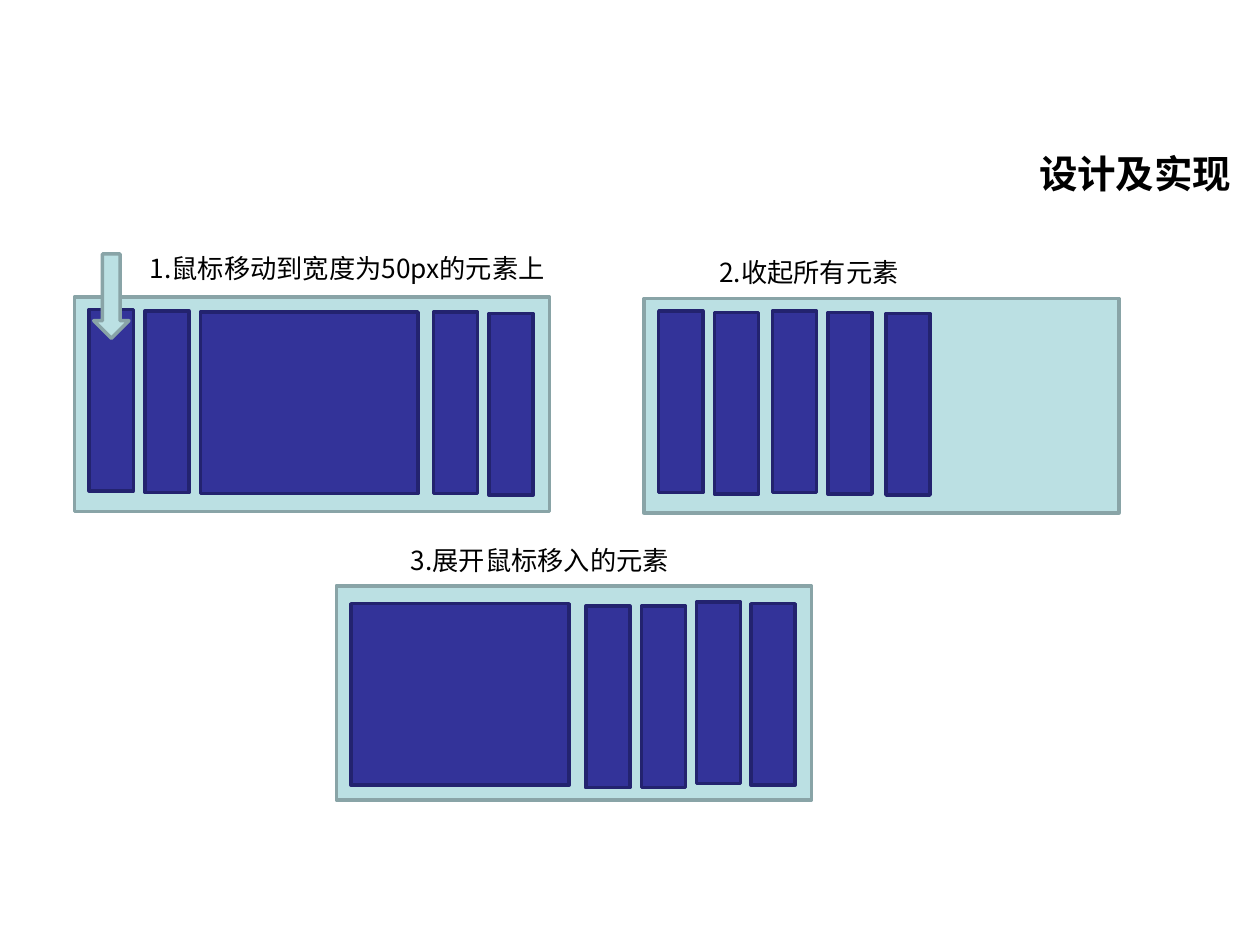
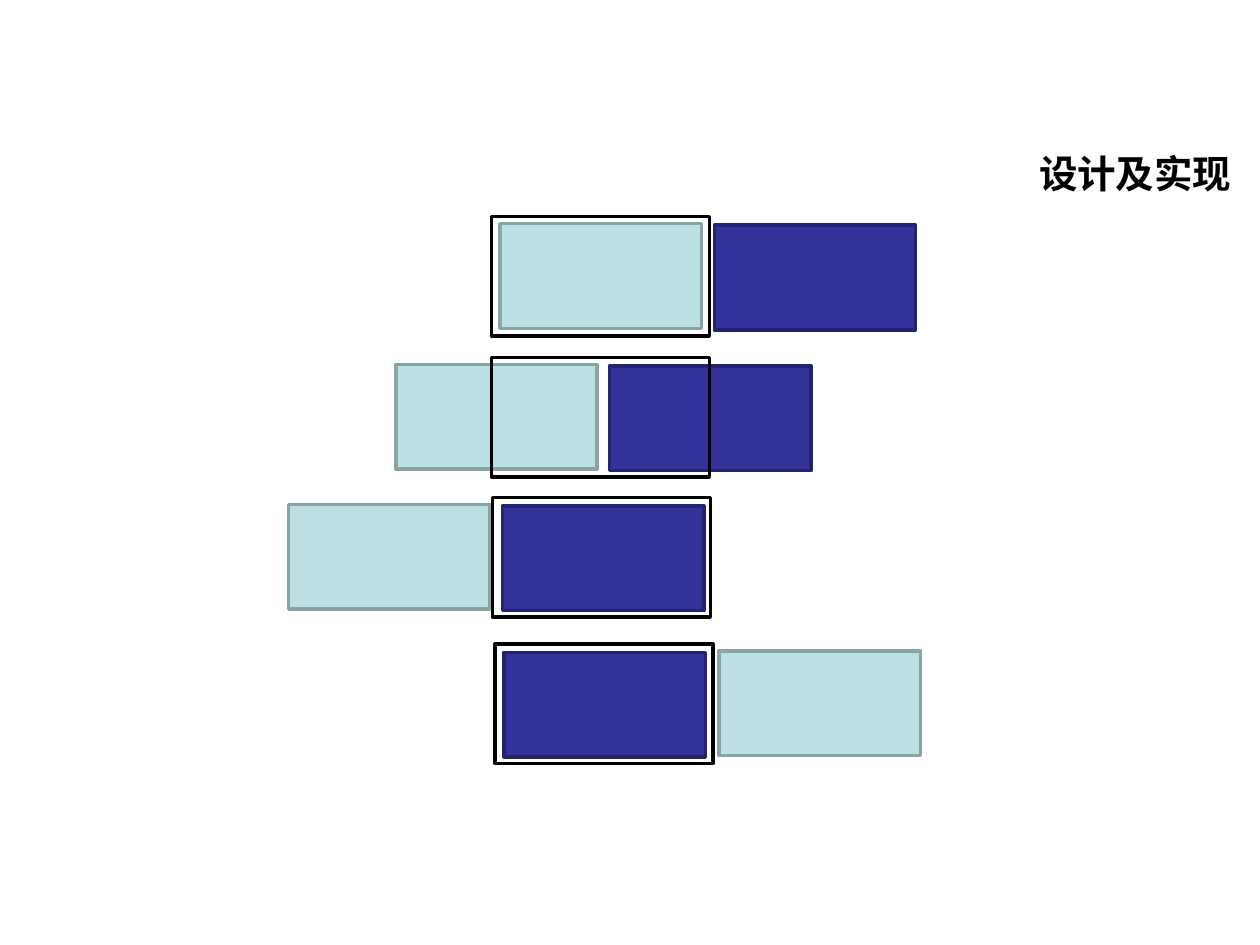
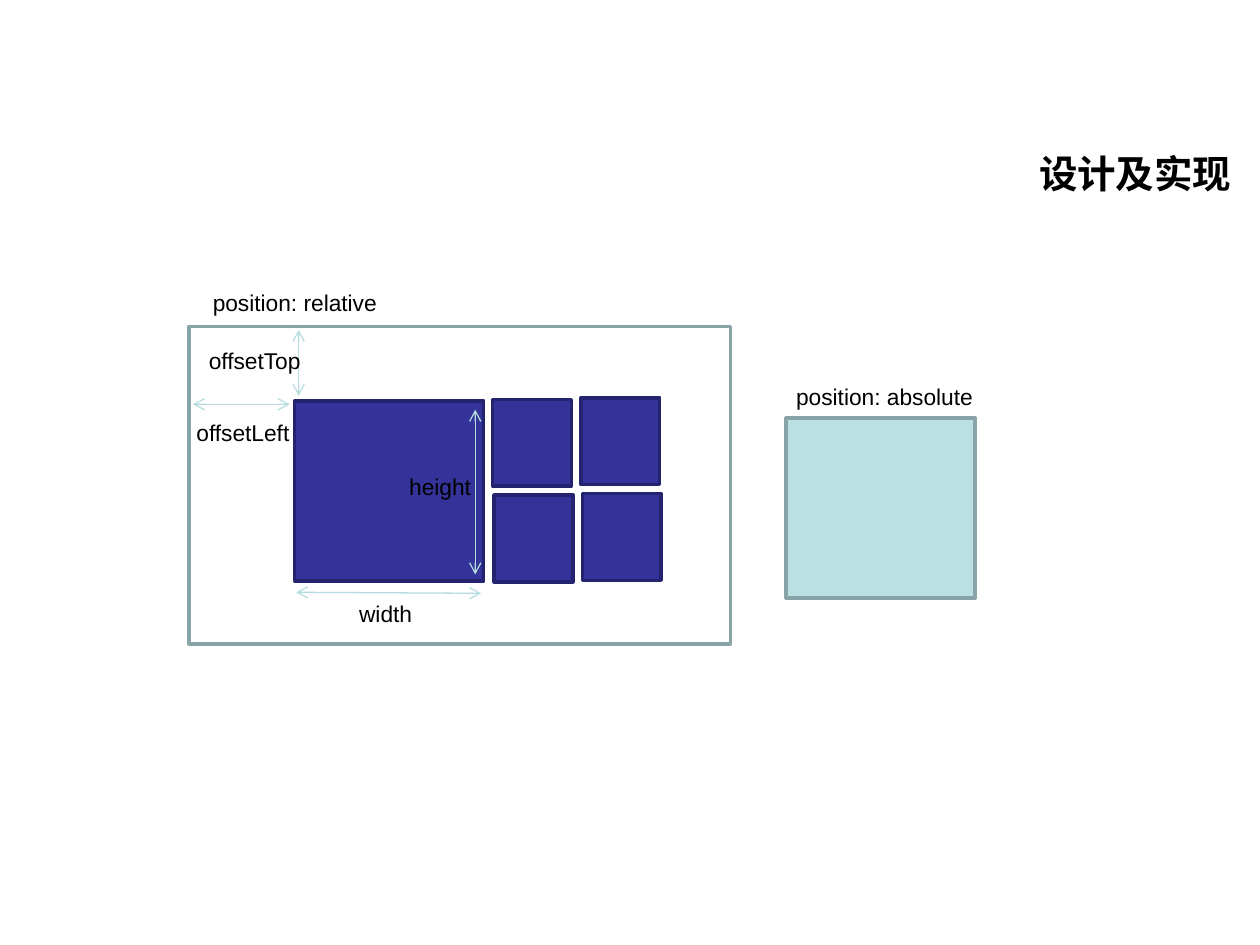
from lxml.etree import SubElement
from pptx import Presentation
from pptx.dml.color import RGBColor
from pptx.enum.shapes import MSO_CONNECTOR, MSO_SHAPE
from pptx.enum.text import MSO_ANCHOR, PP_ALIGN
from pptx.oxml.ns import qn
from pptx.util import Cm, Pt

LATIN = "Arial"
HAN = "Noto Sans CJK SC"
BLACK = "000000"
EDGE = "89A4A7"
LIGHT = ("BBE0E3", EDGE)
DARK = ("333399", "23236F")
FRAME = (None, BLACK)
BOX = (None, EDGE)
ARROW = "B6DCDF"


def paint(target, color):
    target.rgb = RGBColor.from_string(color)


def write(shape, text, size=13, font=LATIN, bold=False, align=PP_ALIGN.LEFT):
    frame = shape.text_frame
    frame.word_wrap = True
    frame.vertical_anchor = MSO_ANCHOR.MIDDLE
    frame.margin_left = frame.margin_right = Cm(0.25)
    frame.margin_top = frame.margin_bottom = Cm(0.13)
    line = frame.paragraphs[0]
    line.alignment = align
    run = line.add_run()
    run.text = text
    run.font.size = Pt(size)
    run.font.bold = bold
    run.font.name = font
    paint(run.font.color, BLACK)
    SubElement(run.font._element, qn("a:ea"), typeface=HAN)


def label(slide, text, left, top, width, height=0.81, **style):
    box = slide.shapes.add_textbox(Cm(left), Cm(top), Cm(width), Cm(height))
    write(box, text, **style)


def block(slide, left, top, width, height, look, kind=MSO_SHAPE.RECTANGLE):
    shape = slide.shapes.add_shape(kind, Cm(left), Cm(top), Cm(width), Cm(height))
    shape.shadow.inherit = False
    fill, edge = look
    if fill:
        shape.fill.solid()
        paint(shape.fill.fore_color, fill)
    else:
        shape.fill.background()
    paint(shape.line.color, edge)
    shape.line.width = Pt(2)


def arrow(slide, *ends):
    line = slide.shapes.add_connector(MSO_CONNECTOR.STRAIGHT, *map(Cm, ends))
    paint(line.line.color, ARROW)
    line.line.width = Pt(0.75)
    stroke = line.line._get_or_add_ln()
    for end in ("a:headEnd", "a:tailEnd"):
        SubElement(stroke, qn(end), type="arrow")
    SubElement(line._element.spPr, qn("a:effectLst"))


def panel(slide, left, top, spots, wide=None):
    block(slide, left, top, 9.58, 4.32, LIGHT)
    for place, (right, down) in enumerate(spots):
        width = 4.39 if place == wide else 0.89
        block(slide, left + right, top + down, width, 3.66, DARK)


def start(deck):
    slide = deck.slides.add_slide(deck.slide_layouts[5])
    title = slide.shapes.title
    title.left, title.top = Cm(14.48), Cm(2.9)
    title.width, title.height = Cm(10.59), Cm(1.19)
    write(title, "设计及实现", size=22, bold=True, align=PP_ALIGN.RIGHT)
    return slide


def fold(deck):
    slide = start(deck)
    panel(slide, 1.5, 5.99, [(0.3, 0.25), (1.42, 0.28), (2.54, 0.3),
                             (7.24, 0.3), (8.36, 0.33)], wide=2)
    panel(slide, 12.98, 6.02, [(0.3, 0.25), (1.42, 0.28), (2.59, 0.25),
                               (3.71, 0.28), (4.88, 0.3)])
    panel(slide, 6.78, 11.81, [(0.3, 0.36), (5.03, 0.41), (6.15, 0.41),
                               (7.26, 0.33), (8.36, 0.36)], wide=0)
    block(slide, 1.89, 5.12, 0.71, 1.7, LIGHT, MSO_SHAPE.DOWN_ARROW)
    for text, left, top in [("1.鼠标移动到宽度为50px的元素上", 2.77, 4.95),
                            ("2.收起所有元素", 14.25, 5.03),
                            ("3.展开鼠标移入的元素", 8.03, 10.85)]:
        label(slide, text, left, top, 9.02, 0.89, size=15, font=HAN)


def slider(deck):
    slide = start(deck)
    for top, frame, light, dark in [(4.37, 9.91, 10.08, 14.4),
                                    (7.21, 9.91, 7.98, 12.29),
                                    (10.03, 9.93, 5.82, 10.13),
                                    (12.98, 9.98, 14.5, 10.16)]:
        block(slide, dark, top + 0.17, 4.06, 2.11, DARK)
        block(slide, light, top + 0.14, 4.06, 2.11, LIGHT)
        block(slide, frame, top, 4.39, 2.41, FRAME)


def layout(deck):
    slide = start(deck)
    block(slide, 5.94, 8.08, 3.81, 3.63, DARK)
    for row in range(2):
        for col in range(2):
            block(slide, 9.93 + 1.78 * col + 0.03 * row,
                  8.05 + 1.93 * row - 0.03 * col, 1.59, 1.75, DARK)
    block(slide, 3.81, 6.58, 10.92, 6.4, BOX)
    block(slide, 15.85, 8.43, 3.81, 3.63, LIGHT)
    arrow(slide, 6.02, 7.98, 6.02, 6.65)
    arrow(slide, 5.84, 8.15, 3.89, 8.15)
    arrow(slide, 5.97, 11.94, 9.7, 11.96)
    arrow(slide, 9.58, 8.26, 9.58, 11.58)
    for text, left, top, width in [("position: relative", 4.04, 5.69, 5.89),
                                   ("offsetTop", 3.96, 6.86, 2.9),
                                   ("offsetLeft", 3.71, 8.31, 3.91),
                                   ("width", 6.99, 11.96, 2.29),
                                   ("height", 8, 9.4, 2.29),
                                   ("position: absolute", 15.8, 7.59, 4.95)]:
        label(slide, text, left, top, width)


def main():
    deck = Presentation()
    deck.slide_width, deck.slide_height = Cm(25.4), Cm(19.05)
    fold(deck)
    slider(deck)
    layout(deck)
    deck.save("out.pptx")


if __name__ == "__main__":
    main()
